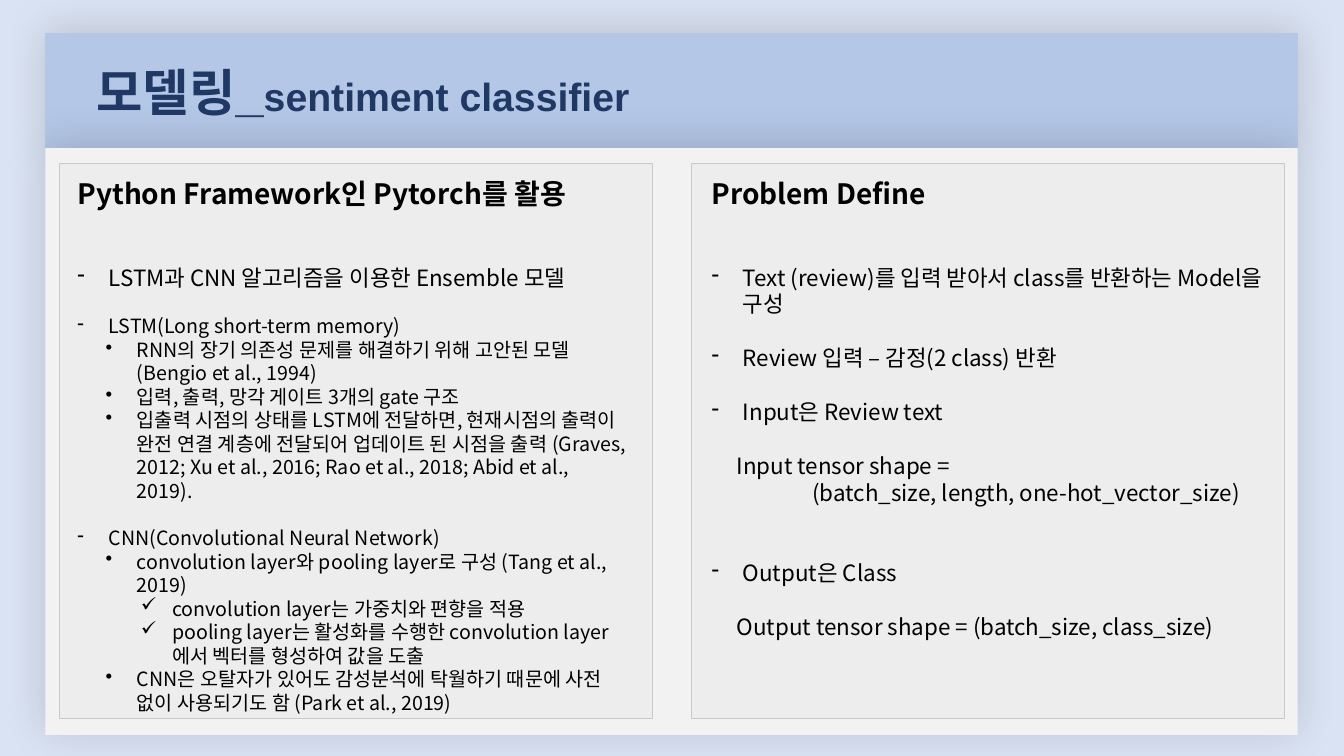
"""Build the sentiment classifier modeling slide."""
from dataclasses import dataclass
from typing import Optional

import lxml.etree
import pptx
import pptx.dml.color
import pptx.enum.shapes
import pptx.enum.text
import pptx.oxml
import pptx.oxml.ns
import pptx.util

Inches = pptx.util.Inches
Pt = pptx.util.Pt
qn = pptx.oxml.ns.qn

COLORS = {
    "background": "DAE3F3", "banner": "B4C7E7", "body": "F2F2F2", "title": "203864",
    "panel": "EDEDED", "panel_line": "C9C9C9", "text": "000000", "shadow": "000000",
}
BODY_FONT = "Noto Sans CJK KR"
LINE_HEIGHT = 1.2
HANGING = 0.31


@dataclass
class Box:
    left: float
    top: float
    width: float
    height: float
    fill: str
    line: Optional[str] = None
    shadow: bool = False


@dataclass
class Line:
    text: str
    size: int = 14
    bullet: str = ""
    level: int = 0
    margin: float = 0
    gap: float = 0
    bold: bool = False


@dataclass
class Column:
    left: float
    height: float
    lines: list[Line]


def heading(text: str) -> Line:
    return Line(text, 20, bold=True)


def dash(text: str, size: int = 16, gap: float = 0) -> Line:
    return Line(text, size, "-", 0, HANGING, gap)


def dot(text: str) -> Line:
    return Line(text, 14, "•", 1, 0.59)


def check(text: str) -> Line:
    return Line(text, 14, "✓", 2, 0.94)


BOXES = [
    Box(0.45, 0.33, 12.42, 1.14, "banner", "banner", True),
    Box(0.45, 1.47, 12.42, 5.82, "body", None, True),
    Box(0.59, 1.62, 5.88, 5.51, "panel", "panel_line"),
    Box(6.86, 1.62, 5.88, 5.51, "panel", "panel_line"),
]

GAP_14 = 14 * LINE_HEIGHT
GAP_16 = 16 * LINE_HEIGHT

COLUMNS = [
    Column(0.67, 5.49, [
        heading("Python Framework인 Pytorch를 활용"),
        dash("LSTM과 CNN 알고리즘을 이용한 Ensemble 모델", gap=2 * GAP_16),
        dash("LSTM(Long short-term memory)", 14, GAP_14),
        dot("RNN의 장기 의존성 문제를 해결하기 위해 고안된 모델 (Bengio et al., 1994)"),
        dot("입력, 출력, 망각 게이트 3개의 gate 구조"),
        dot("입출력 시점의 상태를 LSTM에 전달하면, 현재시점의 출력이 완전 연결 계층에 전달되어 "
            "업데이트 된 시점을 출력 (Graves, 2012; Xu et al., 2016; Rao et al., 2018; "
            "Abid et al., 2019)."),
        dash("CNN(Convolutional Neural Network)", 14, GAP_14),
        dot("convolution layer와 pooling layer로 구성 (Tang et al., 2019)"),
        check("convolution layer는 가중치와 편향을 적용"),
        check("pooling layer는 활성화를 수행한 convolution layer에서 벡터를 형성하여 값을 도출"),
        dot("CNN은 오탈자가 있어도 감성분석에 탁월하기 때문에 사전 없이 사용되기도 함 "
            "(Park et al., 2019)"),
    ]),
    Column(6.96, 5.02, [
        heading("Problem Define"),
        dash("Text (review)를 입력 받아서 class를 반환하는 Model을 구성", gap=2 * GAP_16),
        dash("Review 입력 – 감정(2 class) 반환", gap=GAP_16),
        dash("Input은 Review text", gap=GAP_16),
        Line("Input tensor shape =", 16, margin=0.25, gap=GAP_16),
        Line("(batch_size, length, one-hot_vector_size)", 16, margin=1),
        dash("Output은 Class", gap=2 * GAP_16),
        Line("Output tensor shape = (batch_size, class_size)", 16, margin=0.25, gap=GAP_16),
    ]),
]


def rgb(name: str) -> pptx.dml.color.RGBColor:
    return pptx.dml.color.RGBColor.from_string(COLORS[name])


def add_soft_shadow(shape) -> None:
    effects = shape._element.spPr.find(qn("a:effectLst"))
    shadow = lxml.etree.SubElement(
        effects, qn("a:outerShdw"), blurRad=str(Pt(30)), dist=str(Pt(3)),
        dir=str(270 * 60000), algn="ctr", rotWithShape="0")
    color = lxml.etree.SubElement(shadow, qn("a:srgbClr"), val=COLORS["shadow"])
    lxml.etree.SubElement(color, qn("a:alpha"), val="15000")


def add_box(slide, box: Box) -> None:
    shape = slide.shapes.add_shape(
        pptx.enum.shapes.MSO_SHAPE.RECTANGLE, Inches(box.left), Inches(box.top),
        Inches(box.width), Inches(box.height))
    shape.shadow.inherit = False
    shape.fill.solid()
    shape.fill.fore_color.rgb = rgb(box.fill)
    if box.line:
        shape.line.color.rgb = rgb(box.line)
        shape.line.width = Pt(1)
    else:
        shape.line.fill.background()
    if box.shadow:
        add_soft_shadow(shape)


def add_text_frame(slide, left: float, top: float, width: float, height: float):
    text_box = slide.shapes.add_textbox(
        Inches(left), Inches(top), Inches(width), Inches(height))
    frame = text_box.text_frame
    frame.word_wrap = True
    frame.auto_size = pptx.enum.text.MSO_AUTO_SIZE.SHAPE_TO_FIT_TEXT
    return frame


def add_title(slide) -> None:
    frame = add_text_frame(slide, 0.86, 0.55, 10.93, 0.71)
    frame.vertical_anchor = pptx.enum.text.MSO_ANCHOR.MIDDLE
    paragraph = frame.paragraphs[0]
    paragraph.font.name = "Arial"
    paragraph.font.bold = True
    paragraph.font.color.rgb = rgb("title")
    for text, size in (("모델링_", 36), ("sentiment classifier", 28)):
        run = paragraph.add_run()
        run.text = text
        run.font.size = Pt(size)


def write_line(paragraph, line: Line) -> None:
    paragraph.text = line.text
    paragraph.level = line.level
    if line.gap:
        paragraph.space_before = Pt(line.gap)
    properties = paragraph._p.get_or_add_pPr()
    properties.set("marL", str(Inches(line.margin)))
    properties.set("indent", str(-Inches(HANGING) if line.bullet else 0))
    if line.bullet:
        lxml.etree.SubElement(properties, qn("a:buChar"), char=line.bullet)
    font = paragraph.font
    font.size = Pt(line.size)
    font.bold = line.bold
    font.name = BODY_FONT
    font.color.rgb = rgb("text")
    lxml.etree.SubElement(properties.find(qn("a:defRPr")), qn("a:ea"), typeface=BODY_FONT)


def add_column(slide, column: Column) -> None:
    frame = add_text_frame(slide, column.left, 1.7, 5.67, column.height)
    for index, line in enumerate(column.lines):
        write_line(frame.add_paragraph() if index else frame.paragraphs[0], line)


def main() -> None:
    presentation = pptx.Presentation()
    presentation.slide_width = Inches(13.33)
    presentation.slide_height = Inches(7.5)
    slide = presentation.slides.add_slide(presentation.slide_layouts[6])
    slide.background.fill.solid()
    slide.background.fill.fore_color.rgb = rgb("background")
    for box in BOXES[:2]:
        add_box(slide, box)
    add_title(slide)
    for box in BOXES[2:]:
        add_box(slide, box)
    for column in COLUMNS:
        add_column(slide, column)
    presentation.save("out.pptx")


if __name__ == "__main__":
    main()
